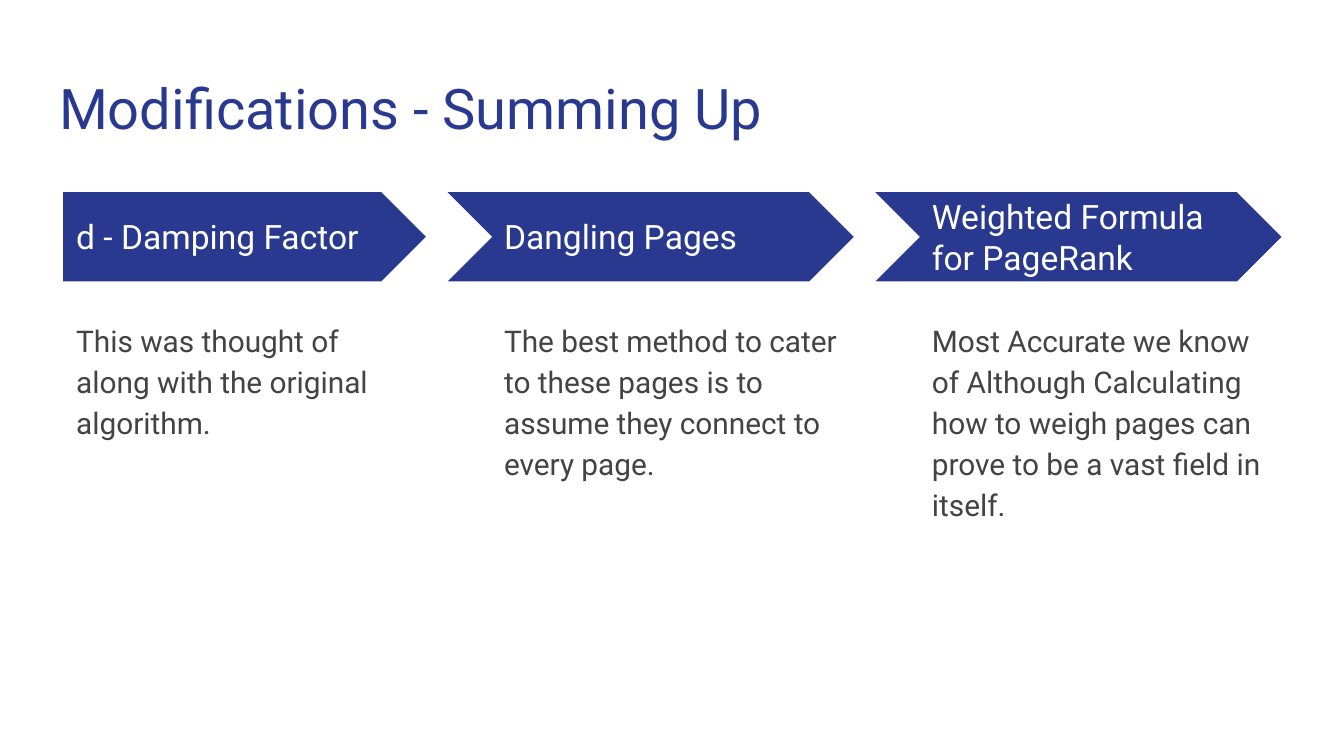
import pptx
import pptx.dml.color
import pptx.enum.shapes
import pptx.enum.text
import pptx.util

Pt = pptx.util.Pt
SHAPE = pptx.enum.shapes.MSO_SHAPE
ANCHOR = pptx.enum.text.MSO_ANCHOR
INDIGO = pptx.dml.color.RGBColor(0x2A, 0x39, 0x90)
WHITE = pptx.dml.color.RGBColor(0xFF, 0xFF, 0xFF)
GRAY = pptx.dml.color.RGBColor(0x43, 0x43, 0x43)

LEFT = 33.8
PITCH = 229.2
COLUMN_WIDTH = 194.4
CHEVRON_OVERHANG = 23.2


def write(frame, text, size, color, anchor=ANCHOR.TOP):
    """Set the frame's layout and put the text in its first paragraph."""
    frame.word_wrap = True
    frame.auto_size = pptx.enum.text.MSO_AUTO_SIZE.NONE
    frame.vertical_anchor = anchor
    frame.margin_left = frame.margin_right = Pt(7.2)
    frame.margin_top = frame.margin_bottom = Pt(7.2)
    paragraph = frame.paragraphs[0]
    paragraph.alignment = pptx.enum.text.PP_ALIGN.LEFT
    run = paragraph.add_run()
    run.text = text
    run.font.name = "Roboto"
    run.font.size = Pt(size)
    run.font.color.rgb = color
    return paragraph


presentation = pptx.Presentation()
presentation.slide_width = Pt(720)
presentation.slide_height = Pt(405)
slide = presentation.slides.add_slide(presentation.slide_layouts[5])

title = slide.shapes.title
title.left, title.top, title.width, title.height = Pt(24.5), Pt(32.4), Pt(671), Pt(47.5)
write(title.text_frame, "Modifications - Summing Up", 30, INDIGO)

modifications = [
    ("d - Damping Factor", "This was thought of along with the original algorithm."),
    ("Dangling Pages",
     "The best method to cater to these pages is to assume they connect to every page."),
    ("Weighted Formula for PageRank",
     "Most Accurate we know of Although Calculating how to weigh pages can "
     "prove to be a vast field in itself."),
]

for column, (name, explanation) in enumerate(modifications):
    left = LEFT + column * PITCH
    preset, overhang = (SHAPE.CHEVRON, CHEVRON_OVERHANG) if column else (SHAPE.PENTAGON, 0)

    arrow = slide.shapes.add_shape(
        preset, Pt(left - overhang), Pt(103), Pt(COLUMN_WIDTH + overhang), Pt(47.8))
    arrow.adjustments[0] = 0.5
    arrow.shadow.inherit = False
    arrow.fill.solid()
    arrow.fill.fore_color.rgb = INDIGO
    arrow.line.fill.background()

    heading = slide.shapes.add_textbox(Pt(left), Pt(114.5), Pt(177.8), Pt(24.5))
    write(heading.text_frame, name, 18, WHITE, ANCHOR.MIDDLE)

    body = slide.shapes.add_textbox(Pt(left), Pt(162.7), Pt(COLUMN_WIDTH), Pt(208.8))
    paragraph = write(body.text_frame, explanation, 16, GRAY)
    paragraph.line_spacing = 1.15
    paragraph.space_after = Pt(8)

presentation.save("out.pptx")
